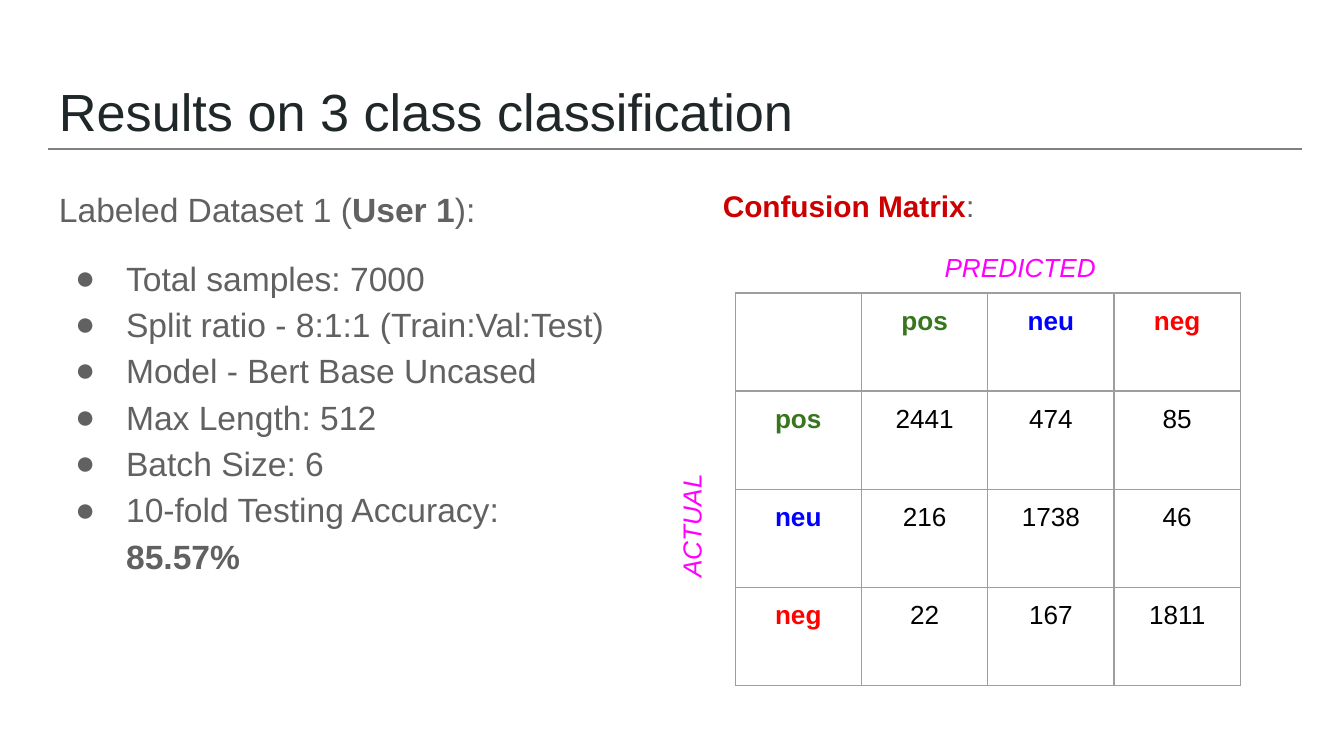
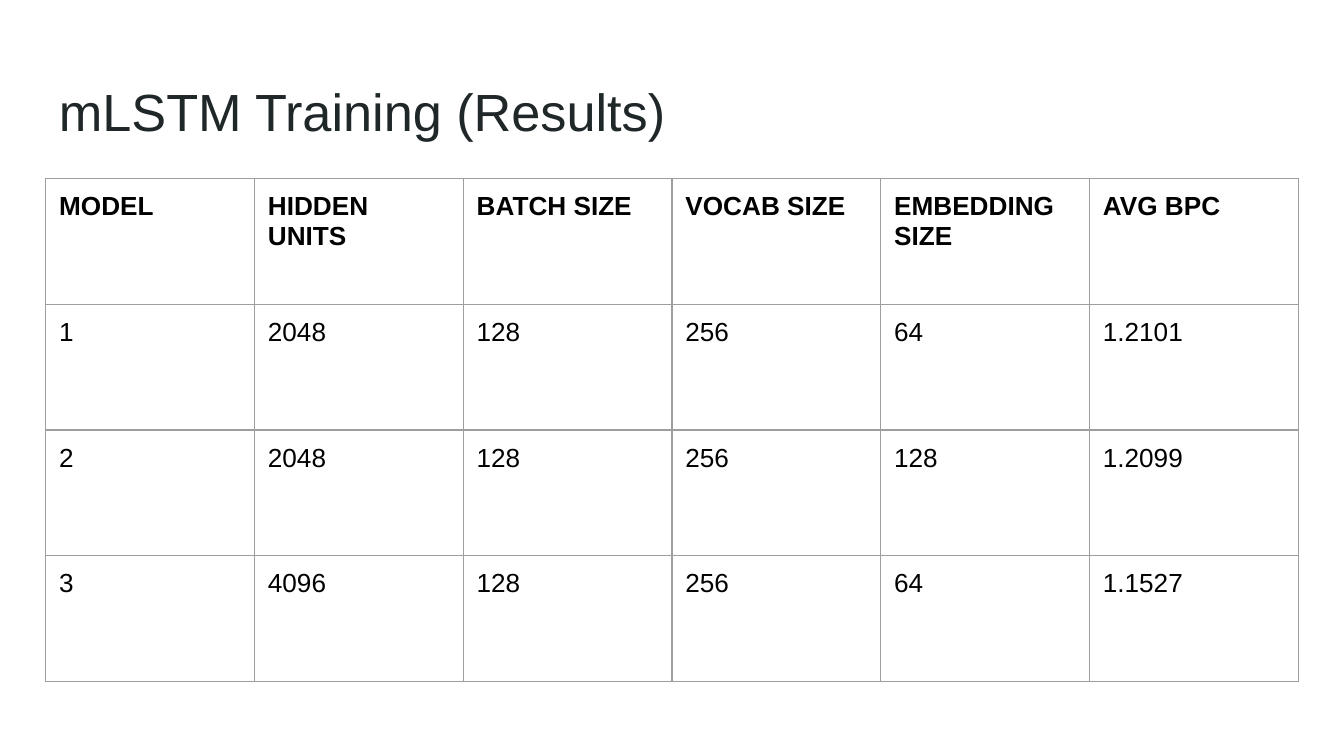
from dataclasses import dataclass

from lxml.etree import SubElement
from pptx import Presentation
from pptx.dml.color import RGBColor
from pptx.enum.shapes import MSO_CONNECTOR
from pptx.enum.text import MSO_ANCHOR, PP_ALIGN
from pptx.oxml.ns import qn
from pptx.util import Inches, Pt


@dataclass(frozen=True)
class Theme:
    """Colours, type sizes and grid of the deck."""
    font: str = "Arial"
    title: str = "202729"
    body: str = "616161"
    heading: str = "CC0000"
    axis: str = "FF00FF"
    ink: str = "000000"
    border: str = "9E9E9E"
    rule: str = "808080"
    title_size: int = 28
    body_size: int = 18
    heading_size: int = 16
    table_size: int = 14
    hairline: float = 0.75
    unit: float = 0.1
    columns: float = 100
    rows: float = 56.25
    left: float = 3.4
    content_top: float = 12.6
    text_width: float = 43.7
    text_height: float = 37.4


T = Theme()
CLASS_COLORS = {"pos": "38761D", "neu": "0000FF", "neg": "FF0000"}
CONFUSION = [
    ["", "pos", "neu", "neg"],
    ["pos", "2441", "474", "85"],
    ["neu", "216", "1738", "46"],
    ["neg", "22", "167", "1811"],
]
TRAINING = [
    ["MODEL", "HIDDEN UNITS", "BATCH SIZE", "VOCAB SIZE", "EMBEDDING SIZE", "AVG BPC"],
    ["1", "2048", "128", "256", "64", "1.2101"],
    ["2", "2048", "128", "256", "128", "1.2099"],
    ["3", "4096", "128", "256", "64", "1.1527"],
]


def grid(*cells):
    """Turn grid columns or rows into lengths."""
    return [Inches(c * T.unit) for c in cells]


def add_run(p, text, size, color, **style):
    """Add one formatted run to a paragraph."""
    r = p.add_run()
    r.text = text
    for name, value in {"name": T.font, "size": Pt(size), **style}.items():
        setattr(r.font, name, value)
    r.font.color.rgb = RGBColor.from_string(color)


def set_margins(target):
    """Give a text frame or cell equal insets of one grid unit."""
    for side in ("left", "top", "right", "bottom"):
        setattr(target, f"margin_{side}", Inches(T.unit))


def add_text(s, at):
    """Add an empty wrapped text box and return it."""
    sp = s.shapes.add_textbox(*grid(*at))
    sp.text_frame.word_wrap = True
    set_margins(sp.text_frame)
    return sp


def add_title(s, text):
    """Add the slide title."""
    sp = add_text(s, (T.left, 4.9, 93.2, 6.3))
    add_run(sp.text_frame.paragraphs[0], text, T.title_size, T.title)


def add_axis_label(s, text, left, rotation=0):
    """Add an italic axis label beside the matrix."""
    sp = add_text(s, (left, 17.7, 47, 5.5))
    sp.rotation = rotation
    add_run(sp.text_frame.paragraphs[0], text, T.table_size, T.axis, italic=True)


def add_bullet(p):
    """Give a paragraph a round bullet and a hanging indent."""
    pPr = p._p.get_or_add_pPr()
    pPr.set("marL", str(Inches(0.5)))
    pPr.set("indent", str(Inches(-0.38)))
    color = SubElement(pPr, qn("a:buClr"))
    SubElement(color, qn("a:srgbClr"), val=T.body)
    SubElement(pPr, qn("a:buSzPts"), val=str(T.body_size * 100))
    SubElement(pPr, qn("a:buFont"), typeface=T.font)
    SubElement(pPr, qn("a:buChar"), char="●")


def add_rule(s):
    """Add the line below the title."""
    sp = s.shapes.add_connector(MSO_CONNECTOR.STRAIGHT, *grid(3.6, 11.1, 96.9, 11.1))
    sp.line.color.rgb = RGBColor.from_string(T.rule)
    sp.line.width = Pt(T.hairline)
    SubElement(sp._element.spPr, qn("a:effectLst"))


def add_borders(cell):
    """Draw thin borders on all sides of a cell."""
    tcPr = cell._tc.get_or_add_tcPr()
    for i, side in enumerate(("lnL", "lnR", "lnT", "lnB")):
        ln = SubElement(tcPr, qn(f"a:{side}"), w=str(Pt(T.hairline)))
        fill = SubElement(ln, qn("a:solidFill"))
        SubElement(fill, qn("a:srgbClr"), val=T.border)
        tcPr.insert(i, ln)


def add_table(s, data, at, align, style):
    """Add an even table; style maps a row and text to colour and weight."""
    left, top, width, height = grid(*at)
    table = s.shapes.add_table(len(data), len(data[0]), left, top, width, height).table
    table.first_row = table.horz_banding = False
    for i, values in enumerate(data):
        for j, text in enumerate(values):
            cell = table.cell(i, j)
            cell.fill.background()
            cell.vertical_anchor = MSO_ANCHOR.TOP
            set_margins(cell)
            add_borders(cell)
            p = cell.text_frame.paragraphs[0]
            p.alignment = align
            if text:
                color, bold = style(i, text)
                add_run(p, text, T.table_size, color, bold=bold)


def add_dataset(s):
    """Add the dataset heading and its bulleted facts."""
    tf = add_text(s, (T.left, T.content_top, T.text_width, T.text_height)).text_frame
    p = tf.paragraphs[0]
    p.line_spacing = 1.15
    for text, bold in (("Labeled Dataset 1 (", False), ("User 1", True), ("):", False)):
        add_run(p, text, T.body_size, T.body, bold=bold)
    facts = ["Total samples: 7000", "Split ratio - 8:1:1 (Train:Val:Test)",
             "Model - Bert Base Uncased", "Max Length: 512", "Batch Size: 6",
             "10-fold Testing Accuracy:"]
    for i, fact in enumerate(facts):
        p = tf.add_paragraph()
        p.line_spacing = 1.15
        p.space_before = Pt(0 if i else 12)
        add_bullet(p)
        add_run(p, fact, T.body_size, T.body)
    p.add_line_break()
    add_run(p, "85.57%", T.body_size, T.body, bold=True)


def add_matrix(s):
    """Add the confusion matrix with its heading and axis labels."""
    sp = add_text(s, (52.8, T.content_top, T.text_width, T.text_height))
    p = sp.text_frame.paragraphs[0]
    p.line_spacing = 1.15
    add_run(p, "Confusion Matrix", T.heading_size, T.heading, bold=True)
    add_run(p, ":", T.heading_size, T.body)
    add_table(s, CONFUSION, (54.7, 21.8, 37.6, 29.2), PP_ALIGN.CENTER,
              lambda i, text: (CLASS_COLORS.get(text, T.ink), text in CLASS_COLORS))
    add_axis_label(s, "PREDICTED", 69.3)
    add_axis_label(s, "ACTUAL", 28.5, 270)


def main():
    """Build both result slides."""
    prs = Presentation()
    prs.slide_width, prs.slide_height = grid(T.columns, T.rows)
    blank = prs.slide_layouts[6]

    s = prs.slides.add_slide(blank)
    add_title(s, "Results on 3 class classification")
    add_dataset(s)
    add_rule(s)
    add_matrix(s)

    s = prs.slides.add_slide(blank)
    add_title(s, "mLSTM Training (Results)")
    add_table(s, TRAINING, (T.left, 13.3, 93.2, 37.4), PP_ALIGN.LEFT,
              lambda i, text: (T.ink, i == 0))
    prs.save("out.pptx")


if __name__ == "__main__":
    main()
